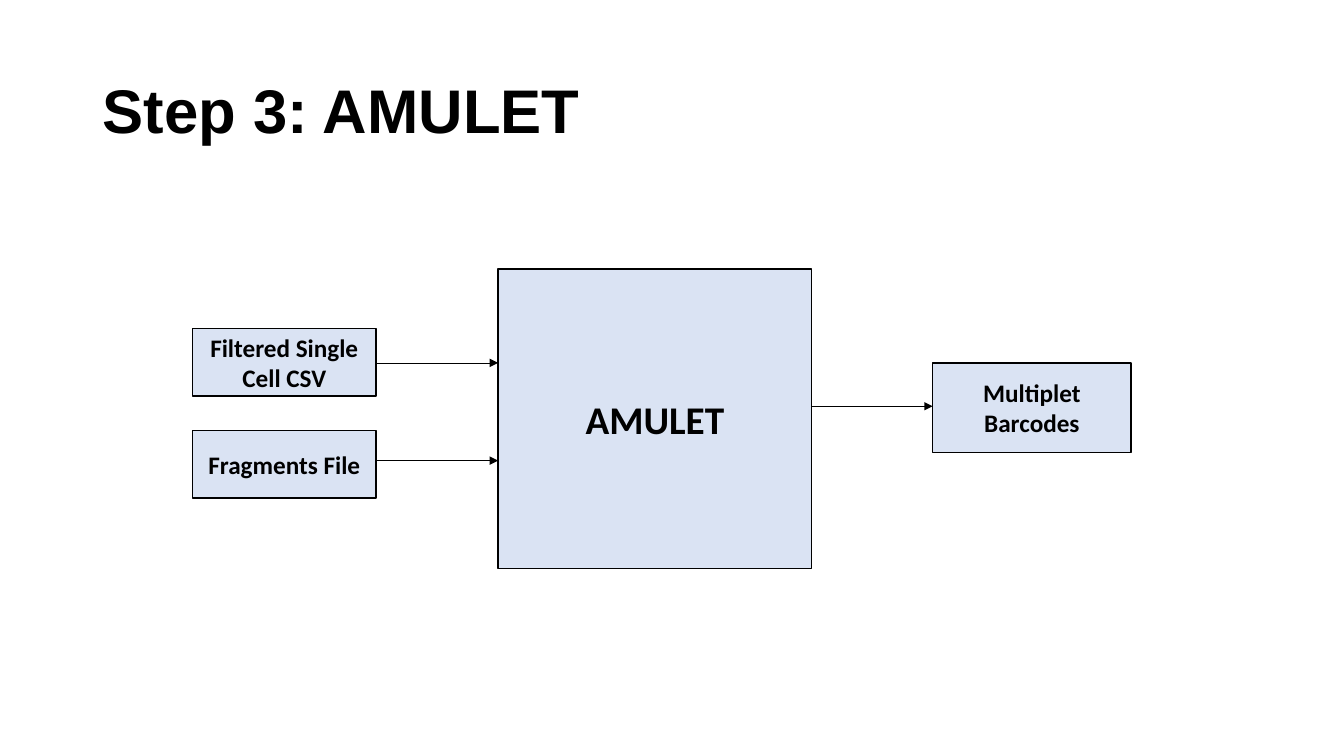
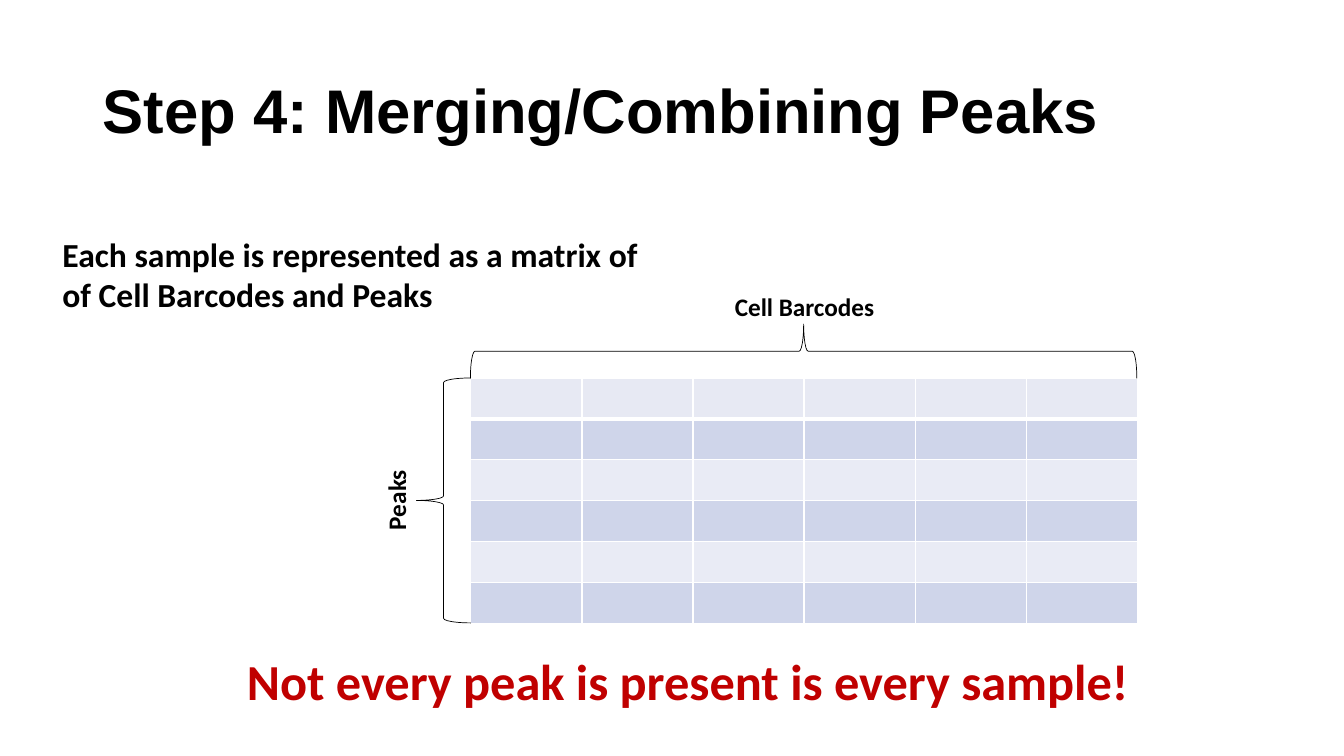
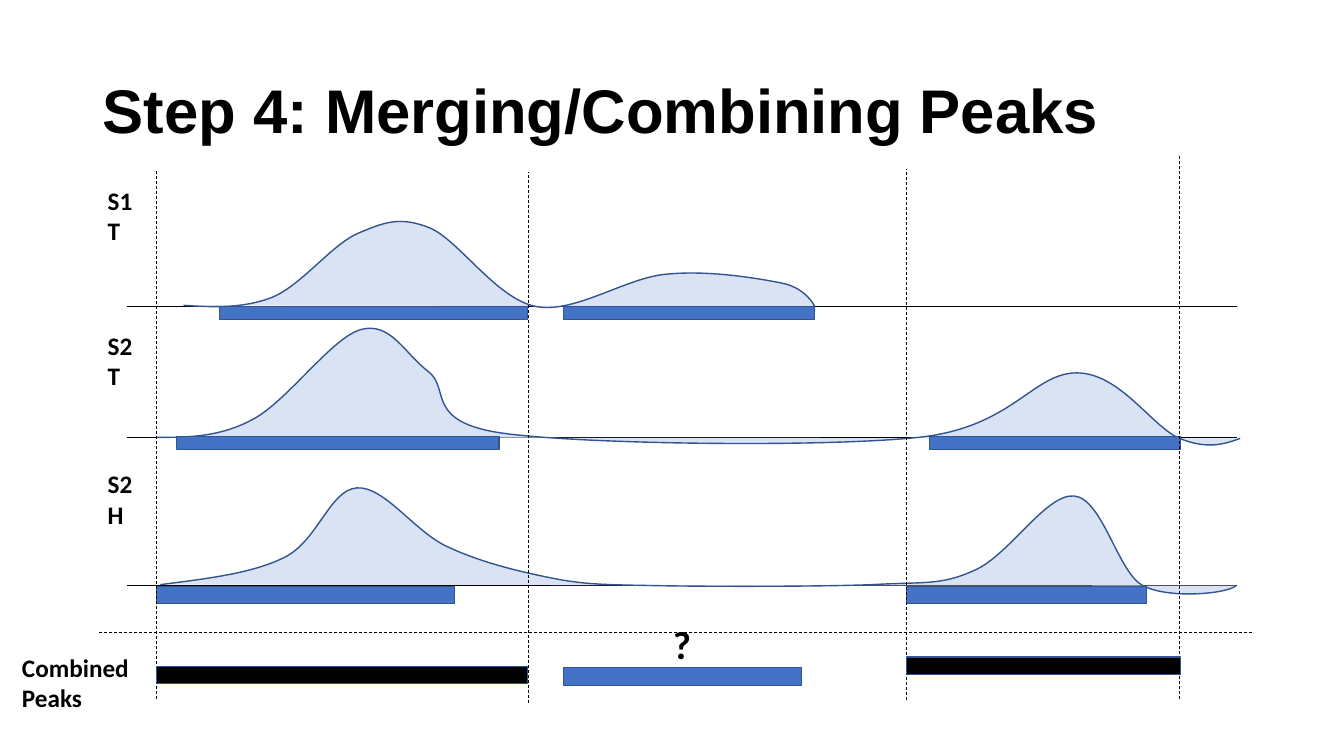
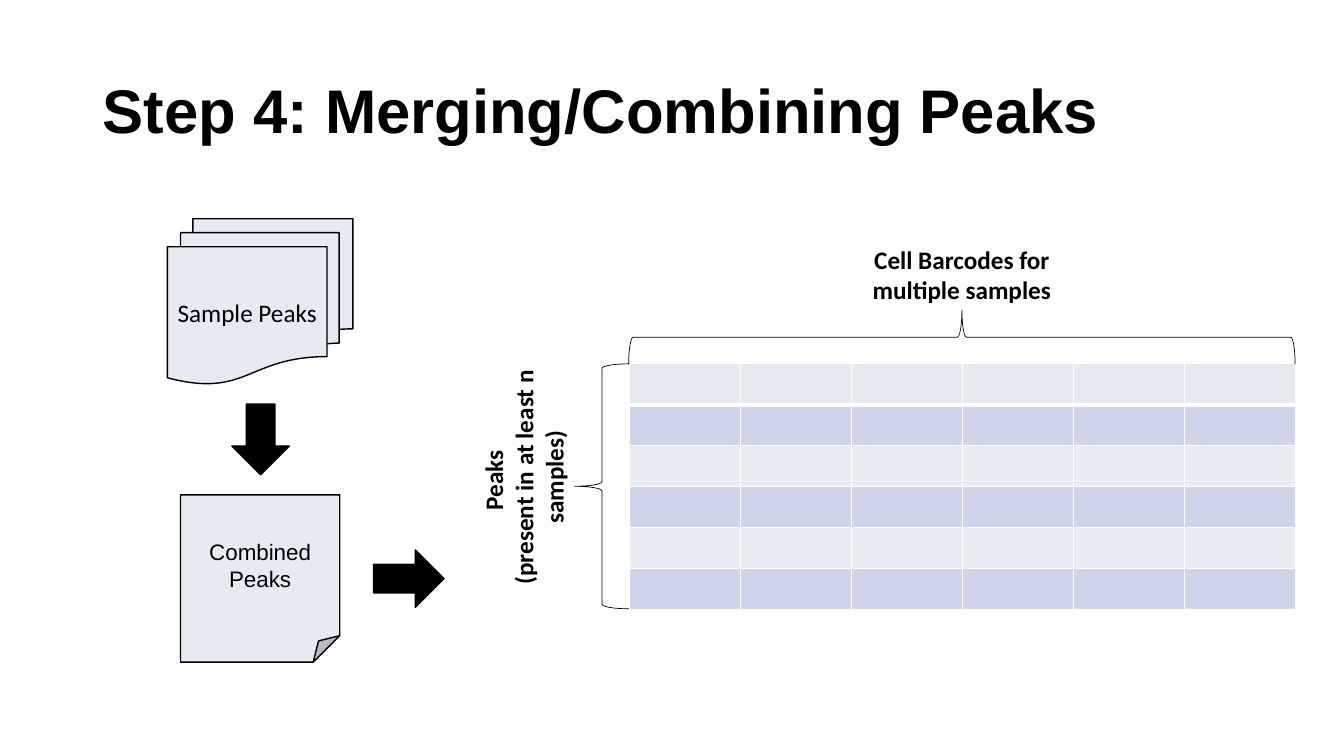
import lxml.etree
import pptx
import pptx.dml.color
import pptx.enum.dml
import pptx.enum.shapes
import pptx.enum.text
import pptx.oxml.ns
import pptx.util

PX = 9144  # 100 px to the inch
RGBColor = pptx.dml.color.RGBColor
MSO = pptx.enum.shapes.MSO_SHAPE
PP_ALIGN = pptx.enum.text.PP_ALIGN
Pt = pptx.util.Pt
qn = pptx.oxml.ns.qn

BLACK = RGBColor(0x00, 0x00, 0x00)
WHITE = RGBColor(0xFF, 0xFF, 0xFF)
RED = RGBColor(0xC0, 0x00, 0x00)
PALE_BLUE = RGBColor(0xDA, 0xE3, 0xF3)
BLUE = RGBColor(0x44, 0x72, 0xC4)
DARK_BLUE = RGBColor(0x32, 0x54, 0x91)
HEAD_FILL = RGBColor(0xE7, 0xE9, 0xF3)
LIGHT_BAND = RGBColor(0xE9, 0xEB, 0xF5)
DARK_BAND = RGBColor(0xCF, 0xD5, 0xEA)


def add_box(s, at, text="", kind=None, fill=None, line=BLACK, width=1, size=18,
            bold=True, font="Calibri", color=BLACK, align=PP_ALIGN.CENTER, rot=0):
    """Add a preset shape, or a text box when no kind is given."""
    frame = [v * PX for v in at]
    if kind is None:
        sp = s.shapes.add_textbox(*frame)
        sp.text_frame.auto_size = pptx.enum.text.MSO_AUTO_SIZE.SHAPE_TO_FIT_TEXT
    else:
        sp = s.shapes.add_shape(kind, *frame)
        sp.shadow.inherit = False
        if fill is None:
            sp.fill.background()
        else:
            sp.fill.solid()
            sp.fill.fore_color.rgb = fill
        sp.line.color.rgb = line
        sp.line.width = Pt(width)
    sp.rotation = rot
    if text:
        tf = sp.text_frame
        tf.word_wrap = True
        tf.text = text
        for p in tf.paragraphs:
            p.alignment = align
            p.font.name = font
            p.font.size = Pt(size)
            p.font.bold = bold
            p.font.color.rgb = color


def add_line(s, x1, y1, x2, y2, dash=False, arrow=False):
    """Add a thin black line, dashed or with an arrowhead at its end."""
    c = s.shapes.add_connector(pptx.enum.shapes.MSO_CONNECTOR.STRAIGHT,
                               x1 * PX, y1 * PX, x2 * PX, y2 * PX)
    c.line.color.rgb = BLACK
    c.line.width = Pt(0.5)
    if dash:
        c.line.dash_style = pptx.enum.dml.MSO_LINE.DASH
    spPr = c._element.spPr
    if arrow:
        lxml.etree.SubElement(spPr.find(qn("a:ln")), qn("a:tailEnd"), type="triangle")
    lxml.etree.SubElement(spPr, qn("a:effectLst"))


prs = pptx.Presentation()
prs.slide_width = 1333 * PX
prs.slide_height = 750 * PX

# Shared title place and style
layout = prs.slide_layouts[5]
title = layout.placeholders[0]
title.left, title.top, title.width, title.height = [v * PX for v in (92, 40, 1150, 145)]
MERGING = "Step 4: Merging/Combining Peaks"
slides = []
for text in ("Step 3: AMULET", MERGING, MERGING, MERGING):
    s = prs.slides.add_slide(layout)
    s.shapes.title.text = text
    p = s.shapes.title.text_frame.paragraphs[0]
    p.alignment = PP_ALIGN.LEFT
    p.line_spacing = 0.9
    p.font.name = "Arial"
    p.font.size = Pt(44)
    p.font.bold = True
    p.font.color.rgb = BLACK
    slides.append(s)
amulet, matrix, tracks, combined = slides

# Slide 1: inputs and output of the tool
for at, text, size in (
    ((191, 326, 182, 67), "Filtered Single Cell CSV", 18),
    ((191, 427, 182, 67), "Fragments File", 18),
    ((494, 267, 311, 297), "AMULET", 28),
    ((925, 360, 197, 89), "Multiplet\nBarcodes", 18),
):
    add_box(amulet, at, text, MSO.RECTANGLE, PALE_BLUE, size=size)
for x1, x2, y in ((373, 494, 360), (373, 494, 457), (805, 925, 403)):
    add_line(amulet, x1, y, x2, y, arrow=True)

# Slides 2 and 4: peak matrix with a brace above and at the left
COUNT, TABLE_W, TABLE_H, BRACE = 6, 661, 243, 54
for s, left, top in ((matrix, 467, 375), (combined, 624, 361)):
    table = s.shapes.add_table(COUNT, COUNT, left * PX, top * PX,
                               TABLE_W * PX, TABLE_H * PX).table
    for i in range(COUNT):
        for cell in table.rows[i].cells:
            tcPr = cell._tc.get_or_add_tcPr()
            for side in "LRTB":
                thick = (i, side) in ((0, "B"), (1, "T"))
                ln = lxml.etree.SubElement(tcPr, qn("a:ln" + side),
                                           w=str(Pt(3 if thick else 1)))
                fill = lxml.etree.SubElement(ln, qn("a:solidFill"))
                lxml.etree.SubElement(fill, qn("a:srgbClr"), val=str(WHITE))
            cell.fill.solid()
            cell.fill.fore_color.rgb = (
                HEAD_FILL if i == 0 else DARK_BAND if i % 2 else LIGHT_BAND)
    add_box(s, (left + (TABLE_W - BRACE) // 2, top - (TABLE_W + BRACE) // 2,
                BRACE, TABLE_W), kind=MSO.LEFT_BRACE, width=0.5, rot=90)
    add_box(s, (left - BRACE, top, BRACE, TABLE_H), kind=MSO.LEFT_BRACE, width=0.5)

# Slide 2: labels and remarks
add_box(matrix, (696, 284, 204, 40), "Cell Barcodes")
add_box(matrix, (291, 476, 204, 40), "Peaks", rot=270)
add_box(matrix, (52, 227, 615, 91),
        "Each sample is represented as a matrix of of Cell Barcodes and Peaks",
        size=24, align=PP_ALIGN.LEFT)
add_box(matrix, (235, 640, 922, 71), "Not every peak is present is every sample!",
        size=36, color=RED, align=PP_ALIGN.LEFT)

# Slide 3: baselines
for y in (304, 434, 581):
    add_line(tracks, 126, y, 1227, y)

# Signal curves: frame, then a start point and three Bezier points per segment
for (left, top, width, height), curve in (
    ((182, 220, 626, 86),
     [(182, 303),
      (212, 305), (242, 306), (270, 295), (299, 283), (328, 244), (354, 232),
      (380, 221), (396, 214), (426, 226), (455, 238), (492, 296), (531, 304),
      (570, 312), (621, 275), (662, 272), (703, 268), (751, 276), (776, 281),
      (800, 286), (808, 304), (808, 304)]),
    ((155, 326, 1074, 116),
     [(155, 434),
      (186, 434), (218, 434), (251, 416), (285, 398), (329, 335), (358, 327),
      (387, 319), (401, 350), (424, 368), (448, 385), (419, 419), (500, 430),
      (581, 441), (816, 444), (911, 434), (1005, 424), (1024, 370), (1068, 370),
      (1111, 370), (1143, 424), (1170, 435), (1197, 446), (1214, 441), (1230, 435)]),
    ((159, 484, 1066, 105),
     [(159, 580),
      (205, 574), (250, 569), (282, 553), (315, 537), (327, 486), (354, 484),
      (381, 482), (411, 527), (443, 542), (475, 557), (510, 566), (545, 573),
      (579, 580), (598, 580), (651, 581), (705, 582), (812, 582), (865, 580),
      (917, 577), (933, 581), (966, 566), (1000, 552), (1037, 490), (1065, 492),
      (1093, 494), (1108, 565), (1132, 580), (1157, 595), (1218, 589), (1226, 581)]),
):
    builder = tracks.shapes.build_freeform(left, top, scale=PX)
    builder.add_line_segments([(left + width, top + height)], close=False)
    sp = builder.convert_to_shape()
    outline = sp._element.spPr.find(".//" + qn("a:path"))
    for child in list(outline):
        outline.remove(child)
    for i, (x, y) in enumerate(curve):
        if i == 0:
            command = lxml.etree.SubElement(outline, qn("a:moveTo"))
        elif i % 3 == 1:
            command = lxml.etree.SubElement(outline, qn("a:cubicBezTo"))
        lxml.etree.SubElement(command, qn("a:pt"), x=str(x - left), y=str(y - top))
    sp.shadow.inherit = False
    sp.fill.solid()
    sp.fill.fore_color.rgb = PALE_BLUE
    sp.line.color.rgb = DARK_BLUE
    sp.line.width = Pt(1)

# Sample names
for y, text in ((179, "S1\nT"), (323, "S2\nT"), (460, "S2\nH")):
    add_box(tracks, (97, y, 69, 71), text, align=PP_ALIGN.LEFT)

# Peaks of each sample, region limits, then combined peaks
for at in ((218, 304, 305, 13), (559, 304, 249, 13), (175, 433, 320, 13),
           (155, 582, 296, 17), (922, 433, 249, 13), (899, 582, 238, 17)):
    add_box(tracks, at, kind=MSO.RECTANGLE, fill=BLUE, line=DARK_BLUE)
for x, bottom, top in ((155, 693, 168), (524, 697, 171), (899, 694, 168), (1170, 693, 153)):
    add_line(tracks, x, bottom, x, top, dash=True)
for at in ((155, 661, 368, 17), (899, 652, 272, 17)):
    add_box(tracks, at, kind=MSO.RECTANGLE, fill=BLACK, line=DARK_BLUE)
add_box(tracks, (12, 642, 136, 71), "Combined Peaks", align=PP_ALIGN.LEFT)
add_line(tracks, 1242, 627, 97, 627, dash=True)
add_box(tracks, (625, 610, 103, 57), "?", size=28)
add_box(tracks, (559, 662, 236, 18), kind=MSO.RECTANGLE, fill=BLUE, line=DARK_BLUE)

# Slide 4: matrix labels, documents and arrows
add_box(combined, (852, 237, 204, 71), "Cell Barcodes for multiple samples")
add_box(combined, (398, 423, 243, 101), "Peaks \n(present in at least n samples)", rot=270)
add_box(combined, (166, 217, 184, 164), "Sample Peaks", MSO.FLOWCHART_MULTIDOCUMENT,
        HEAD_FILL, bold=False)
add_box(combined, (179, 491, 158, 166), "Combined\nPeaks", MSO.FOLDED_CORNER,
        HEAD_FILL, size=16, bold=False, font="Arial")
for x, y, rot in ((230, 401, 0), (377, 539, 270)):
    add_box(combined, (x, y, 57, 70), kind=MSO.DOWN_ARROW, fill=BLACK, rot=rot)

prs.save("out.pptx")
